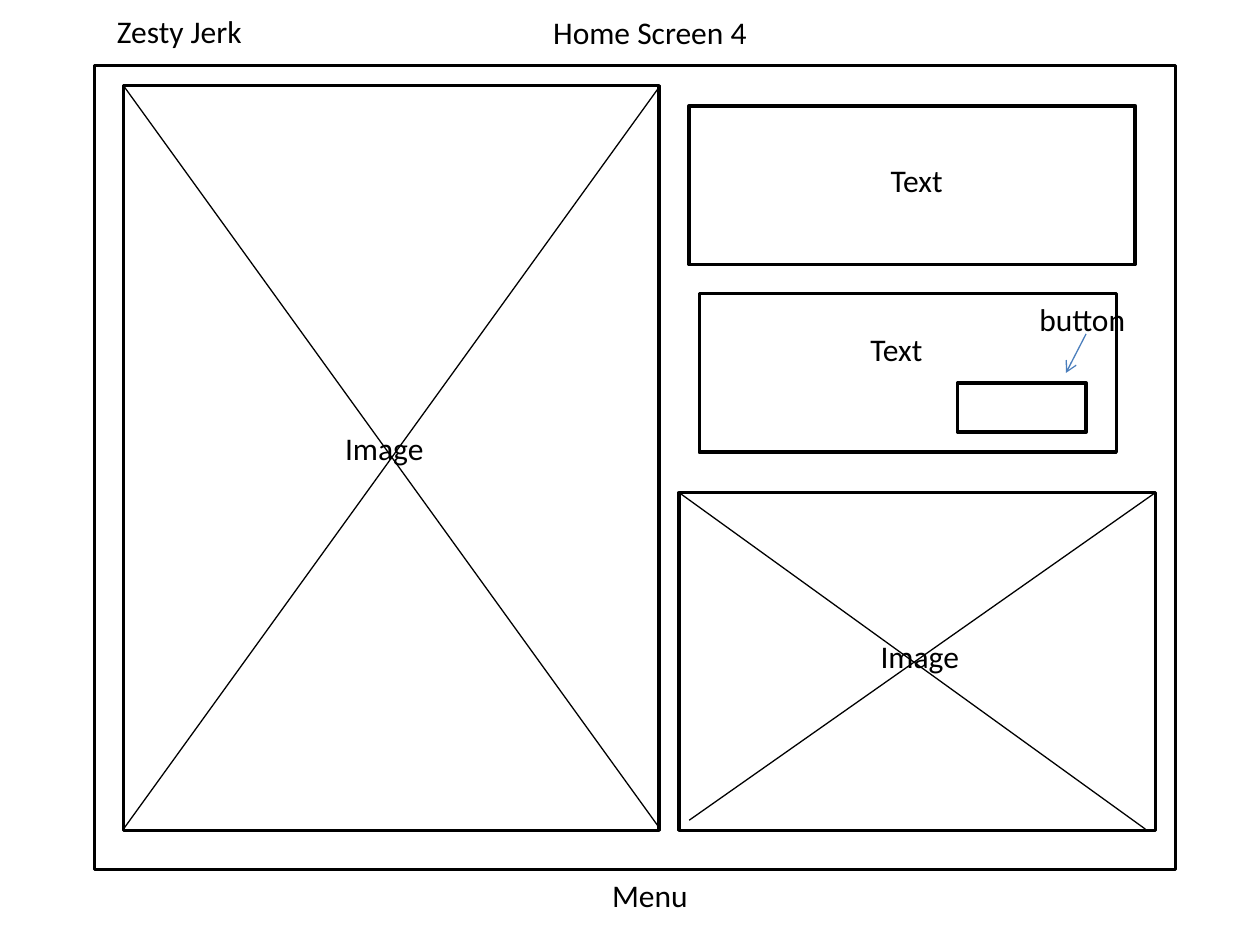
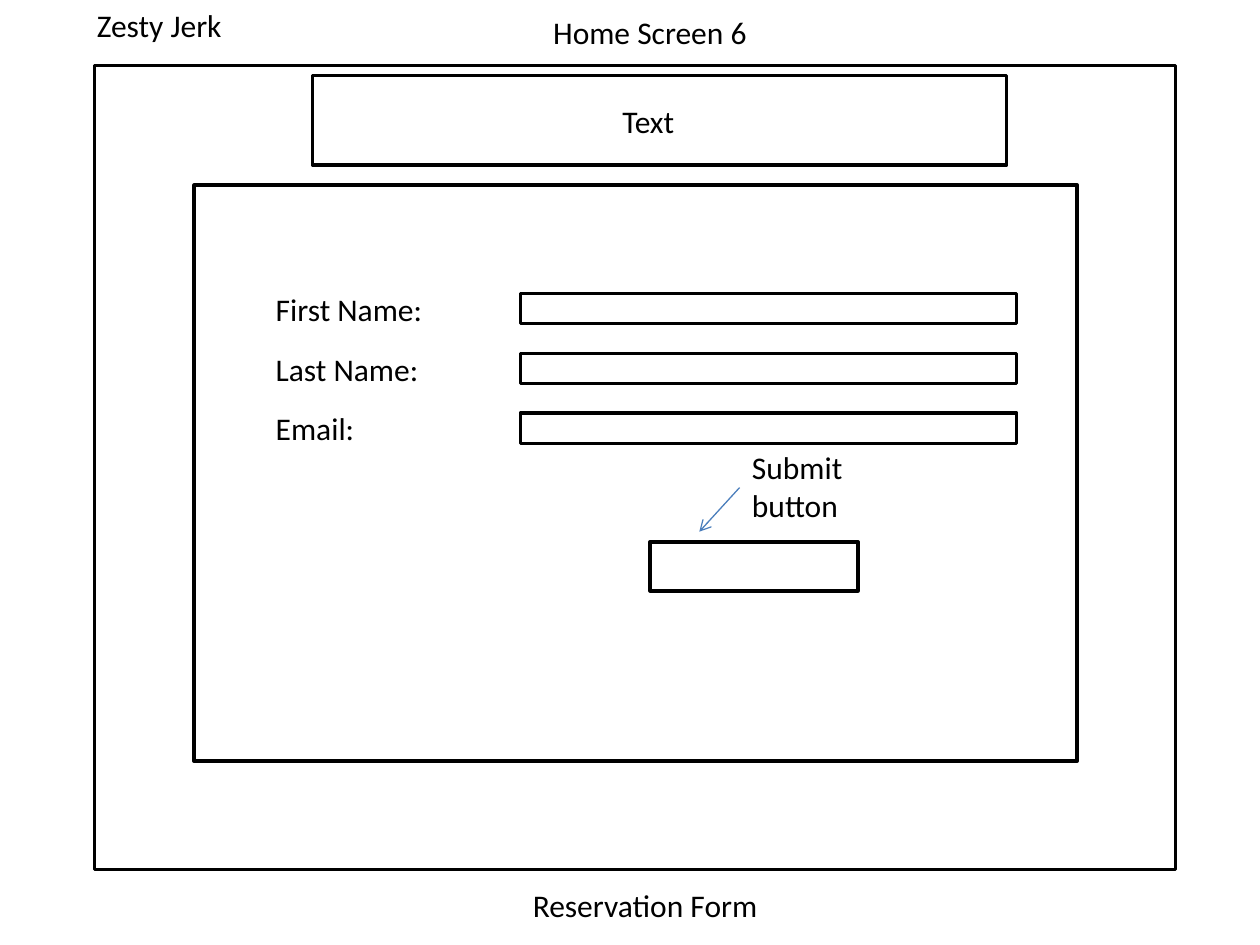
from pptx import Presentation
from pptx.dml.color import RGBColor
from pptx.enum.shapes import MSO_CONNECTOR, MSO_SHAPE
from pptx.enum.text import MSO_ANCHOR, MSO_AUTO_SIZE, PP_ALIGN
from pptx.oxml.ns import qn
from pptx.util import Inches, Pt
from lxml import etree

COLORS = {"ink": "000000", "paper": "FFFFFF", "arrow": "4B7EBC"}
FONT = "Calibri"
TEXT_SIZE = 18
LABEL_HEIGHT = 0.4
FRAME = (0.75, 0.52, 8.58, 6.38)


def write_label(shape, text, left, top, width, height=LABEL_HEIGHT):
    """Place a text shape and fill it with one left-aligned run."""
    shape.left, shape.top = Inches(left), Inches(top)
    shape.width, shape.height = Inches(width), Inches(height)
    frame = shape.text_frame
    frame.word_wrap = True
    frame.auto_size = MSO_AUTO_SIZE.NONE
    frame.vertical_anchor = MSO_ANCHOR.TOP
    para = frame.paragraphs[0]
    para.alignment = PP_ALIGN.LEFT
    span = para.add_run()
    span.text = text
    span.font.name = FONT
    span.font.size = Pt(TEXT_SIZE)
    span.font.color.rgb = RGBColor.from_string(COLORS["ink"])


def draw_line(page, start, end, color="ink", arrow=False):
    """Draw a thin straight line, with an open arrowhead if asked."""
    line = page.shapes.add_connector(
        MSO_CONNECTOR.STRAIGHT, *[Inches(value) for value in start + end])
    line.line.width = Pt(0.75)
    line.line.color.rgb = RGBColor.from_string(COLORS[color])
    properties = line._element.spPr
    if arrow:
        etree.SubElement(properties.find(qn("a:ln")), qn("a:tailEnd"), type="arrow")
    etree.SubElement(properties, qn("a:effectLst"))


# Form rows on the reservation screen
FIELDS = ["First Name:", "Last Name:", "Email:"]
FIELD_TOP, FIELD_STEP = 2.33, 0.475
field_tops = [FIELD_TOP + row * FIELD_STEP for row in range(len(FIELDS))]

# Each screen: title, boxes, diagonals, arrow and labels
SCREENS = [
    {
        "title": ("Home Screen 4", 4.29, 0.05, 1.89),
        "boxes": [
            (0.98, 0.68, 4.25, 5.91),   # large image
            (5.39, 3.91, 3.78, 2.68),   # small image
            (5.47, 0.84, 3.54, 1.26),   # upper text
            (5.55, 2.33, 3.31, 1.26),   # lower text
            (7.6, 3.04, 1.02, 0.39),    # button
        ],
        "diagonals": [
            ((0.98, 0.68), (5.24, 6.58)),
            ((0.98, 6.58), (5.24, 0.68)),
            ((5.39, 3.91), (9.09, 6.58)),
            ((5.47, 6.51), (9.17, 3.91)),
        ],
        "arrow": ((8.62, 2.65), (8.46, 2.96)),
        "labels": [
            ("Zesty Jerk", 0.83, 0.05, 1.26),
            ("Image", 2.64, 3.36, 1.02),
            ("Image", 6.89, 5.01, 1.02),
            ("Text", 6.97, 1.23, 0.71),
            ("Text", 6.81, 2.57, 0.71),
            ("button", 8.15, 2.33, 0.94),
            ("Menu", 4.76, 6.9, 0.94),
        ],
    },
    {
        "title": ("Home Screen 6", 4.29, 0.05, 2.36),
        "boxes": [
            (1.54, 1.47, 7.01, 4.57),   # form
            (2.48, 0.6, 5.51, 0.71),    # heading text
            (5.16, 4.3, 1.65, 0.39),    # submit button
        ] + [(4.13, top, 3.94, 0.24) for top in field_tops],
        "diagonals": [],
        "arrow": ((5.87, 3.87), (5.55, 4.22)),
        "labels": [
            ("Zesty Jerk", 0.67, 0, 1.65),
            ("Text", 4.84, 0.76, 0.79),
            ("Submit button", 5.87, 3.51, 1.1, 0.71),
            ("Reservation Form", 4.13, 6.98, 2.05),
        ] + [(name, 2.09, top - 0.08, 1.5) for name, top in zip(FIELDS, field_tops)],
    },
]

deck = Presentation()
deck.slide_width, deck.slide_height = Inches(10), Inches(7.5)
title_only = deck.slide_layouts[5]

for screen in SCREENS:
    page = deck.slides.add_slide(title_only)
    write_label(page.shapes.title, *screen["title"])

    # Outer frame first, then the boxes inside it
    for bounds in [FRAME] + screen["boxes"]:
        box = page.shapes.add_shape(
            MSO_SHAPE.RECTANGLE, *[Inches(value) for value in bounds])
        box.shadow.inherit = False
        box.fill.solid()
        box.fill.fore_color.rgb = RGBColor.from_string(COLORS["paper"])
        box.line.color.rgb = RGBColor.from_string(COLORS["ink"])
        box.line.width = Pt(2)

    # Image crosses and the button pointer
    for start, end in screen["diagonals"]:
        draw_line(page, start, end)
    draw_line(page, *screen["arrow"], color="arrow", arrow=True)

    # Labels on top
    for label in screen["labels"]:
        write_label(page.shapes.add_textbox(0, 0, 0, 0), *label)

deck.save("out.pptx")
